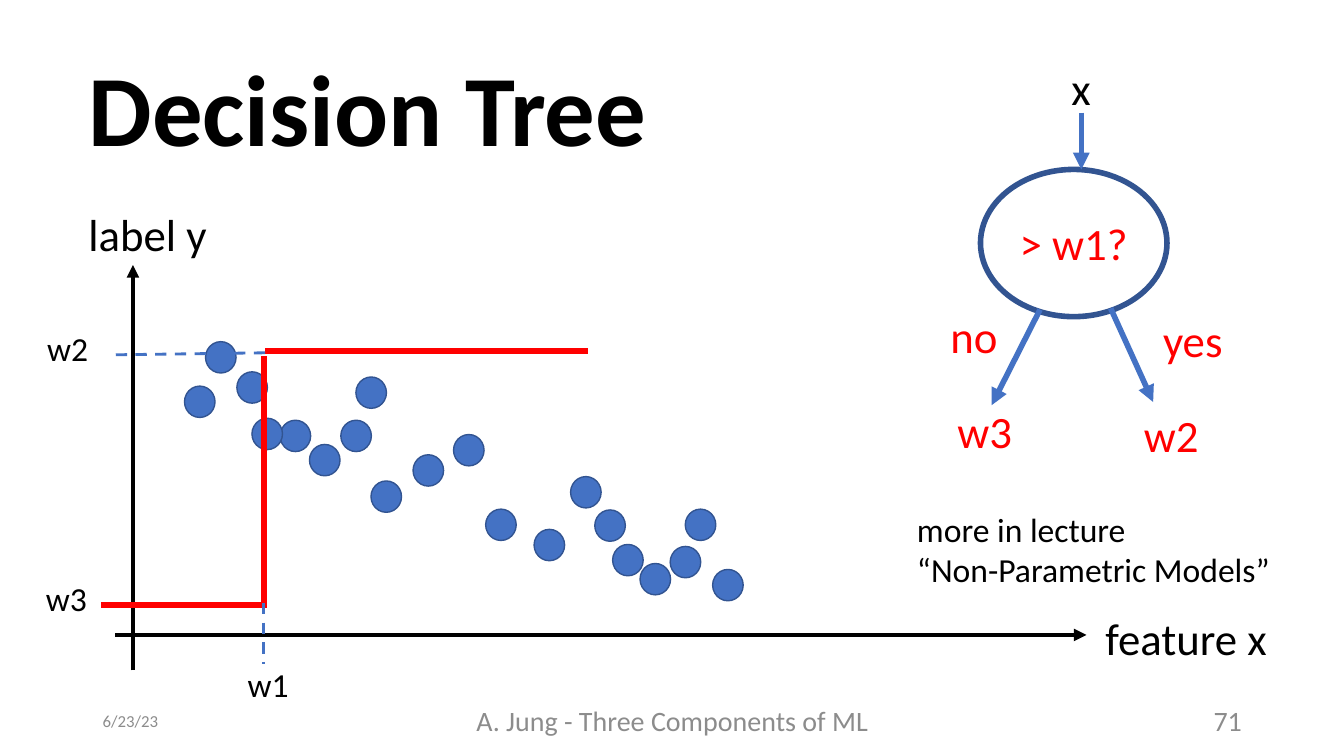
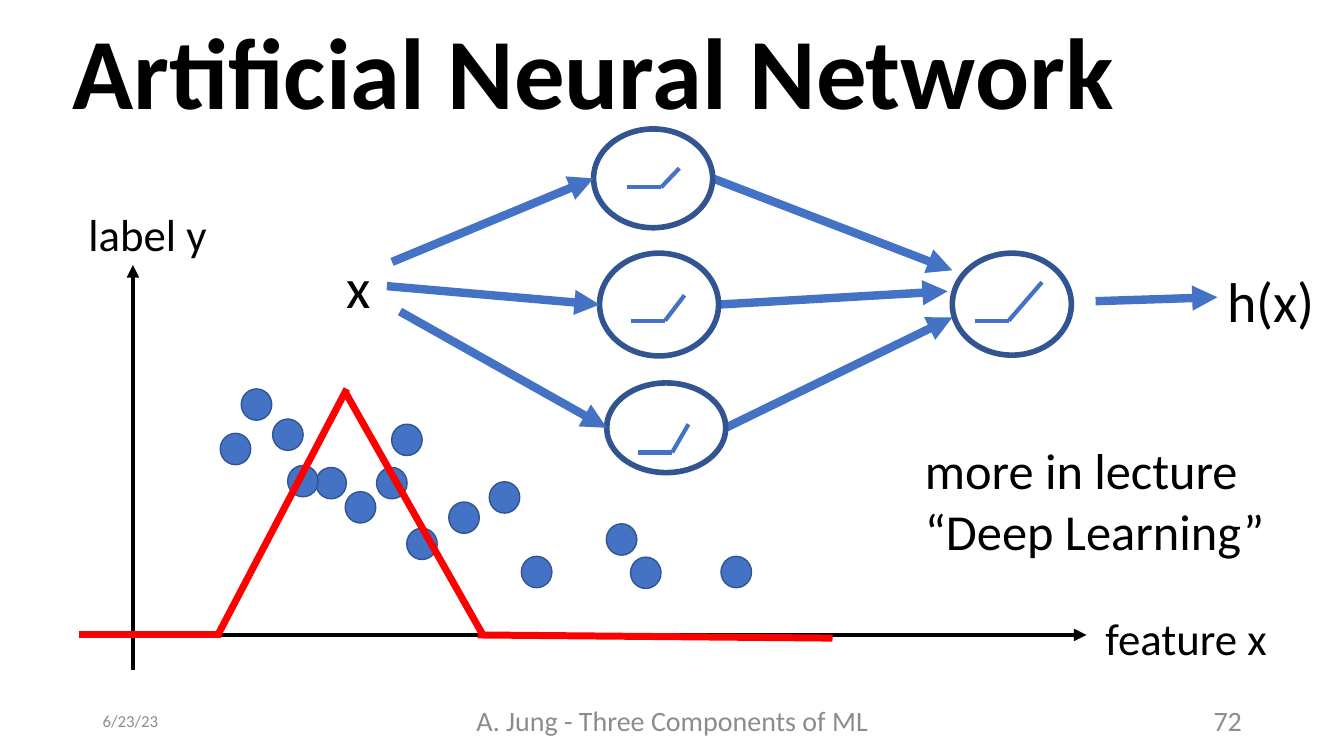
from dataclasses import dataclass

from lxml.etree import SubElement
from pptx import Presentation
from pptx.dml.color import RGBColor
from pptx.enum.dml import MSO_LINE
from pptx.enum.shapes import MSO_CONNECTOR, MSO_SHAPE
from pptx.enum.text import MSO_ANCHOR, MSO_AUTO_SIZE, PP_ALIGN
from pptx.oxml.ns import qn
from pptx.util import Cm, Pt


@dataclass(frozen=True)
class Theme:
    font: str = "Calibri"
    black: str = "000000"
    white: str = "FFFFFF"
    grey: str = "8C8C8C"
    red: str = "FF0000"
    blue: str = "4472C4"
    navy: str = "325491"
    title: int = 72
    large: int = 40
    lecture: int = 36
    label: int = 32
    small: int = 24
    footer: int = 20
    date: int = 12


T = Theme()

# Shared content, all lengths in centimetres
DATE, FOOTER = "6/23/23", "A. Jung - Three Components of ML"
AXES = [((2.9, 16), (27.38, 16)), ((3.35, 16.89), (3.35, 6.68))]
AXIS_LABELS = [("feature x", 27.61, 15.27, 4.62, T.label, T.black),
               ("label y", 1.98, 5.08, 3.53, T.label, T.black)]
DOT_SIZE = (0.77, 0.79)
DOTS = [(4.65, 9.73), (7.06, 10.59), (9.35, 12.12), (11.43, 10.95), (8.59, 10.59),
        (5.97, 9.37), (12.24, 12.83), (14.38, 12.01), (17.27, 12.83), (10.41, 11.46),
        (8.97, 9.5), (14.99, 12.85), (5.18, 8.61), (6.35, 10.54), (7.8, 11.2)]

# Decision tree: extra dots, labels (text, left, top, width, size, colour), lines
TREE_DOTS = [(16.13, 14.2), (13.46, 13.34), (15.44, 13.72), (16.89, 13.77), (17.96, 14.35)]
TREE_NODE = (24.71, 4.27, 4.7, 3.71)
TREE_LABELS = [
    ("x", 26.75, 1.4, 1.02, T.label, T.black),
    ("yes", 29.06, 7.75, 2.03, T.label, T.red),
    ("no", 23.7, 7.65, 1.73, T.label, T.red),
    ("w2", 28.58, 10.16, 1.91, T.label, T.red),
    ("w3", 23.88, 10.06, 1.91, T.label, T.red),
    ("w3", 0.91, 14.45, 1.55, T.small, T.black),
    ("w2", 0.94, 8.13, 1.55, T.small, T.black),
    ("w1", 5.99, 16.61, 1.55, T.small, T.black),
    ("more in lecture\n“Non-Parametric Models”", 22.86, 12.7, 9.47, T.small, T.black),
]
TREE_ARROWS = [((27.25, 2.84), (27.25, 4.27)), ((27.99, 7.77), (29.06, 10.13)),
               ((26.21, 7.8), (24.99, 10.21))]
STEP = [((2.54, 15.24), (6.73, 15.24)), ((6.65, 15.27), (6.65, 8.97)),
        ((14.81, 8.84), (6.68, 8.84))]
GUIDES = [((6.68, 8.89), (2.9, 8.94)), ((6.65, 15.19), (6.65, 16.74))]

# Neural network
DOT_SHIFT = (0.9, 1.19)
NET_LABELS = [
    ("more in lecture\n“Deep Learning”", 23.06, 10.95, 9.14, T.lecture, T.black),
    ("h(x)", 30.68, 6.58, 2.74, T.large, T.black),
    ("x", 8.48, 6.25, 1.14, T.large, T.black),
]
# neuron box, start of the arrow in, end of the arrow out
HIDDEN = [((14.96, 3.25, 3, 2.49), (9.88, 6.6), (24, 6.81)),
          ((15.11, 6.38, 3, 2.59), (9.75, 7.21), (23.88, 7.34)),
          ((15.29, 9.65, 3, 2.26), (10.08, 7.85), (24, 8))]
OUTPUT = (24, 6.38, 3, 2.57)
OUTPUT_ARROW = ((27.61, 7.59), (30.68, 7.49))
RELU_FLAT = 0.86
RELUS = [((24.56, 8.08), (26.26, 7.11)), ((15.8, 4.72), (17.12, 4.24)),
         ((16.08, 11.4), (17.35, 10.69)), ((15.9, 8.08), (17.25, 7.44))]
PEAK = [((1.98, 16), (5.56, 16)), ((5.49, 16), (8.74, 9.8)),
        ((12.17, 16), (8.69, 9.86)), ((20.98, 16.08), (12.04, 16))]


def rgb(colour):
    return RGBColor.from_string(colour)


def write(tf, text, size, colour, align=PP_ALIGN.LEFT, bold=False):
    tf.text = text
    for p in tf.paragraphs:
        p.alignment = align
        for r in p.runs:
            r.font.name, r.font.size, r.font.bold = T.font, Pt(size), bold
            r.font.color.rgb = rgb(colour)


def add_label(s, text, left, top, width, size, colour):
    lines = text.count("\n") + 1
    height = round(lines * size * 1.22 * 2.54 / 72 + 0.25, 2)
    tf = s.shapes.add_textbox(Cm(left), Cm(top), Cm(width), Cm(height)).text_frame
    tf.word_wrap = False
    tf.auto_size = MSO_AUTO_SIZE.SHAPE_TO_FIT_TEXT
    write(tf, text, size, colour)


def add_footer(s, text, left, width, size, align):
    tf = s.shapes.add_textbox(Cm(left), Cm(17.65), Cm(width), Cm(1.02)).text_frame
    tf.word_wrap = True
    tf.vertical_anchor = MSO_ANCHOR.MIDDLE
    write(tf, text, size, T.grey, align)


def add_line(s, start, end, colour, width, arrow=False, dashed=False):
    line = s.shapes.add_connector(MSO_CONNECTOR.STRAIGHT, *map(Cm, start + end))
    line.line.color.rgb = rgb(colour)
    line.line.width = Pt(width)
    if dashed:
        line.line.dash_style = MSO_LINE.DASH
    sp_pr = line._element.spPr
    if arrow:
        SubElement(sp_pr.find(qn("a:ln")), qn("a:tailEnd"), type="triangle")
    SubElement(sp_pr, qn("a:effectLst"))


def add_ellipse(s, box, width, fill=None):
    sp = s.shapes.add_shape(MSO_SHAPE.OVAL, *map(Cm, box))
    sp.shadow.inherit = False
    if fill:
        sp.fill.solid()
        sp.fill.fore_color.rgb = rgb(fill)
    else:
        sp.fill.background()
    sp.line.color.rgb = rgb(T.navy)
    sp.line.width = Pt(width)
    return sp


def add_plot_slide(prs, title, left, top, number, dots):
    """Slide with title, footers, axes and data points."""
    s = prs.slides.add_slide(prs.slide_layouts[5])
    sp = s.shapes.title
    sp.left, sp.top, sp.width, sp.height = map(Cm, (left, top, 31.52, 3.68))
    tf = sp.text_frame
    tf.word_wrap = True
    tf.auto_size = MSO_AUTO_SIZE.NONE
    tf.vertical_anchor = MSO_ANCHOR.MIDDLE
    write(tf, title, T.title, T.black, bold=True)
    tf.paragraphs[0].line_spacing = 0.9

    add_footer(s, DATE, 2.34, 7.62, T.date, PP_ALIGN.LEFT)
    add_footer(s, FOOTER, 11.23, 11.43, T.footer, PP_ALIGN.CENTER)
    add_footer(s, str(number), 23.93, 7.62, T.footer, PP_ALIGN.RIGHT)

    for start, end in AXES:
        add_line(s, start, end, T.black, 3, arrow=True)
    for label in AXIS_LABELS:
        add_label(s, *label)
    for dot in dots:
        add_ellipse(s, dot + DOT_SIZE, 1, T.blue)
    return s


def build_tree(prs):
    s = add_plot_slide(prs, "Decision Tree", 1.98, 1.02, 71, DOTS + TREE_DOTS)
    # Tree
    node = add_ellipse(s, TREE_NODE, 4, T.white)
    node.text_frame.vertical_anchor = MSO_ANCHOR.MIDDLE
    write(node.text_frame, "> w1?", T.label, T.red, PP_ALIGN.CENTER)
    for start, end in TREE_ARROWS:
        add_line(s, start, end, T.blue, 4, arrow=True)
    # Step function and its guides
    for start, end in STEP:
        add_line(s, start, end, T.red, 4)
    for start, end in GUIDES:
        add_line(s, start, end, T.blue, 2, dashed=True)
    for label in TREE_LABELS:
        add_label(s, *label)


def build_network(prs):
    dx, dy = DOT_SHIFT
    dots = [(x + dx, y + dy) for x, y in DOTS]
    s = add_plot_slide(prs, "Artificial Neural Network", 1.57, 0.1, 72, dots)
    # Neurons, with arrows at the middle of their left and right sides
    for box, source, target in HIDDEN:
        left, top, width, height = box
        middle = top + height / 2
        add_line(s, (left + width, middle), target, T.blue, 6, arrow=True)
        add_ellipse(s, box, 4)
        add_line(s, source, (left, middle), T.blue, 6, arrow=True)
    add_ellipse(s, OUTPUT, 4)
    add_line(s, *OUTPUT_ARROW, T.blue, 6, arrow=True)
    # Activation functions
    for start, tip in RELUS:
        knee = (start[0] + RELU_FLAT, start[1])
        add_line(s, start, knee, T.blue, 3)
        add_line(s, knee, tip, T.blue, 3)
    # Learnt function
    for start, end in PEAK:
        add_line(s, start, end, T.red, 5)
    for label in NET_LABELS:
        add_label(s, *label)


def main():
    prs = Presentation()
    prs.slide_width, prs.slide_height = Cm(33.87), Cm(19.05)
    build_tree(prs)
    build_network(prs)
    prs.save("out.pptx")


if __name__ == "__main__":
    main()
